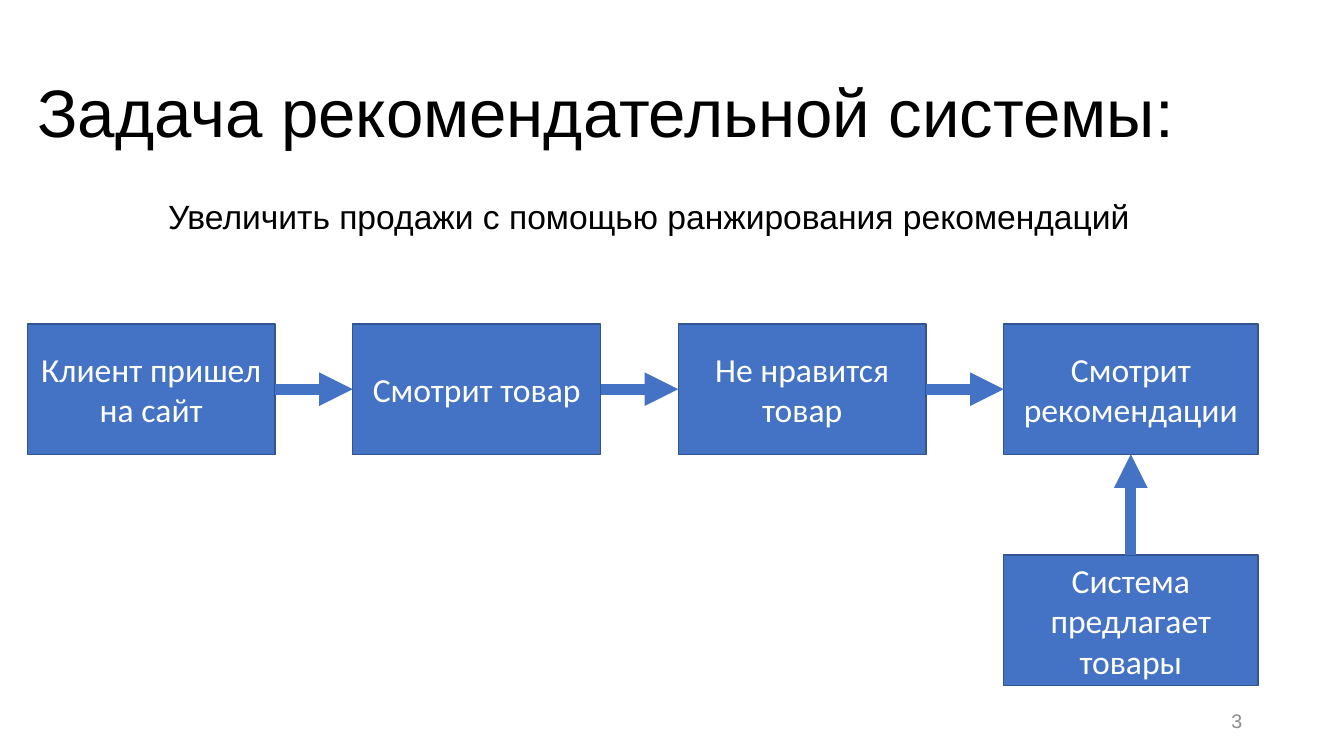
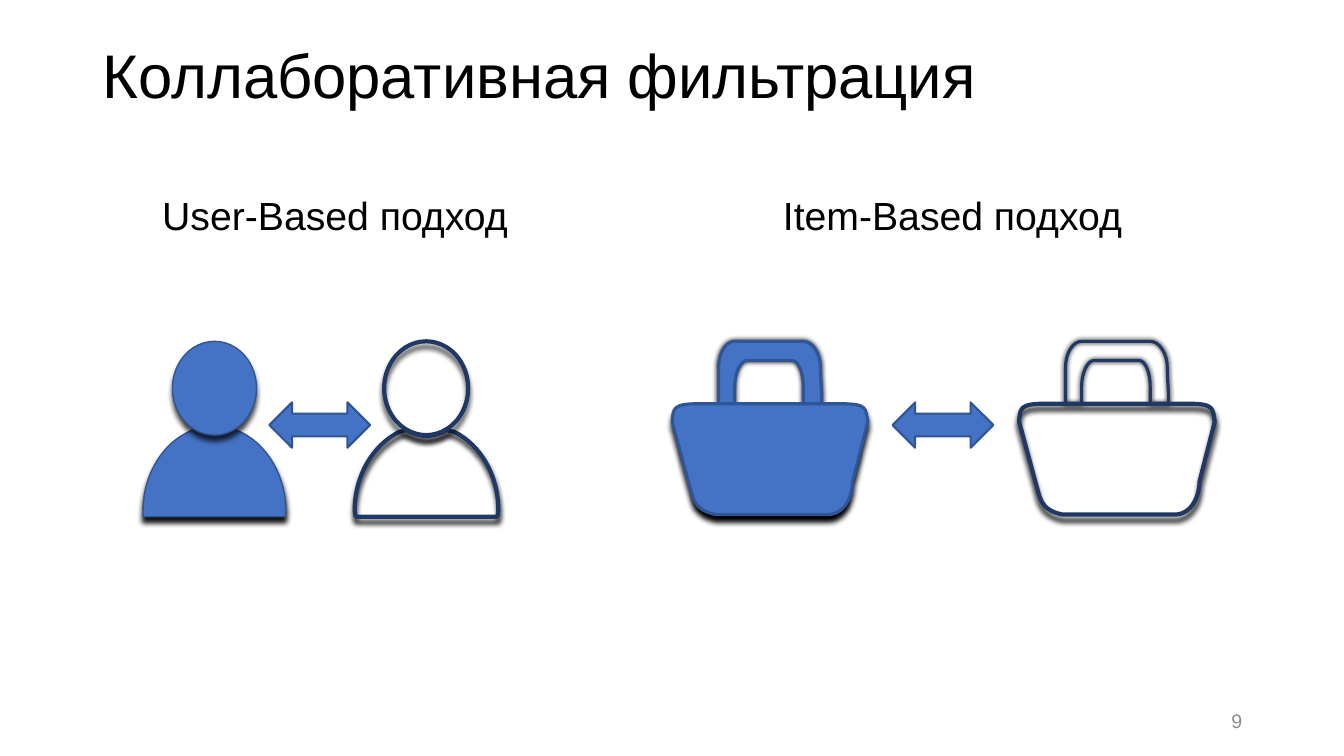
from lxml.etree import SubElement
from pptx import Presentation
from pptx.dml.color import RGBColor
from pptx.enum.shapes import MSO_CONNECTOR, MSO_SHAPE
from pptx.enum.text import MSO_ANCHOR, MSO_AUTO_SIZE, PP_ALIGN
from pptx.oxml.ns import qn
from pptx.util import Pt

BLACK = RGBColor(0x00, 0x00, 0x00)
WHITE = RGBColor(0xFF, 0xFF, 0xFF)
GRAY = RGBColor(0x8C, 0x8C, 0x8C)
BLUE = RGBColor(0x44, 0x72, 0xC4)
EDGE = RGBColor(0x32, 0x54, 0x91)
ICON_EDGE = RGBColor(0x2F, 0x55, 0x97)
NAVY = RGBColor(0x20, 0x38, 0x64)

TITLE_AND_BODY, TITLE_ONLY = 1, 5

# Outlines in points: one pair is a straight step, three pairs are a Bezier curve.
TORSO = [
    [(51, 60.5)], [(79, 60.5), (102, 88), (102, 121)], [(101.5, 125.3)],
    [(0, 125.3)], [(0, 121)], [(0, 88), (23, 60.5), (51, 60.5)]]
TORSO_BEHIND_HEAD = [
    [(65.5, 63.4)], [(71.3, 64.8)], [(90, 74.2), (102.6, 95.8), (102.6, 121)],
    [(102, 125.3)], [(0.7, 125.3)], [(0, 121)],
    [(0, 95.8), (13, 74.2), (31.7, 64.8)], [(36.7, 63.4)], [(39.6, 64.8)],
    [(43.2, 66.2), (47.5, 67.7), (51.1, 67.7)],
    [(55.4, 67.7), (59.8, 66.2), (63.4, 64.8)]]
HANDLE = [
    [(44.6, 0)], [(93.6, 0)], [(100, 0), (105.8, 8.6), (105.8, 18.7)],
    [(105.8, 26.6), (106.6, 33.5), (106.6, 39.6)], [(106.6, 44.6)],
    [(93.6, 44.6)], [(93.6, 43.9)], [(93.6, 40.3), (93.6, 36.7), (93.6, 32.4)],
    [(93.6, 22.3), (90, 13.7), (85.7, 13.7)], [(53.3, 13.7)],
    [(49, 13.7), (44.6, 22.3), (44.6, 32.4)], [(44.6, 44.6)],
    [(33.1, 44.6)], [(33.1, 18.7)], [(33.1, 8.6), (38.2, 0), (44.6, 0)]]
BASKET = [
    [(0, 57.6)], [(0.7, 48.2), (0, 44.6), (18.7, 44.6)], [(121, 44.6)],
    [(139.7, 44.6), (138.2, 48.2), (139.7, 57.6)], [(128.9, 100)],
    [(128.9, 107.2), (125.3, 123.1), (111.6, 123.8)], [(31, 123.8)],
    [(14.4, 120.2), (15.1, 111.6), (11.5, 100)], [(0, 57.6)]]


def write(target, text, size=24, color=BLACK, font="Arial", align=PP_ALIGN.LEFT,
          anchor=MSO_ANCHOR.TOP, spacing=1.0, bullet=True):
    frame = target.text_frame
    frame.word_wrap = True
    frame.auto_size = MSO_AUTO_SIZE.NONE
    frame.vertical_anchor = anchor
    frame.text = text
    paragraph = frame.paragraphs[0]
    if not bullet:
        properties = paragraph._p.get_or_add_pPr()
        properties.set("marL", "0")
        properties.set("indent", "0")
        SubElement(properties, qn("a:buNone"))
    paragraph.alignment = align
    paragraph.line_spacing = spacing
    paragraph.space_before = Pt(0)
    paragraph.font.size = Pt(size)
    paragraph.font.name = font
    paragraph.font.color.rgb = color


def place(target, left, top, width, height):
    target.left, target.top = Pt(left), Pt(top)
    target.width, target.height = Pt(width), Pt(height)
    return target


def text_box(slide, left, top, width, height, text, **style):
    box = slide.shapes.add_textbox(Pt(left), Pt(top), Pt(width), Pt(height))
    write(box, text, **style)


def page_number(slide, number):
    text_box(slide, 678.5, 500.4, 216, 28.8, number, size=14, color=GRAY,
             align=PP_ALIGN.RIGHT, anchor=MSO_ANCHOR.MIDDLE)


def paint(shape, fill, edge, weight, shadow=None):
    """Set fill and line; shadow is (opacity %, distance pt, angle)."""
    if fill is None:
        shape.fill.background()
    else:
        shape.fill.solid()
        shape.fill.fore_color.rgb = fill
    shape.line.color.rgb = edge
    shape.line.width = Pt(weight)
    shape.shadow.inherit = False
    if shadow:
        opacity, distance, angle = shadow
        effects = shape._element.spPr.find(qn("a:effectLst"))
        outer = SubElement(effects, qn("a:outerShdw"), blurRad=str(Pt(4)),
                           dist=str(Pt(distance)), dir=str(angle * 60000),
                           algn="t", rotWithShape="0")
        black = SubElement(outer, qn("a:srgbClr"), val=str(BLACK))
        SubElement(black, qn("a:alpha"), val=str(opacity * 1000))


def preset(slide, kind, left, top, width, height, **look):
    shape = slide.shapes.add_shape(kind, Pt(left), Pt(top), Pt(width), Pt(height))
    paint(shape, **look)
    return shape


def outline(slide, left, top, steps, **look):
    """Draw straight steps, then join each run of three control points as a curve."""
    points = [(Pt(left + x), Pt(top + y)) for step in steps for x, y in step]
    builder = slide.shapes.build_freeform(*points[0])
    builder.add_line_segments(points[1:], close=True)
    shape = builder.convert_to_shape()
    segments = iter(list(shape._element.iter(qn("a:lnTo"))))
    for step in steps[1:]:
        first, *others = [next(segments) for _ in step]
        if others:
            first.tag = qn("a:cubicBezTo")
        for segment in others:
            first.append(segment[0])
            segment.getparent().remove(segment)
    paint(shape, **look)


def flow_step(slide, left, top, width, text):
    step = preset(slide, MSO_SHAPE.RECTANGLE, left, top, width, 93,
                  fill=BLUE, edge=EDGE, weight=1)
    write(step, text, color=WHITE, font="Calibri", align=PP_ALIGN.CENTER,
          anchor=MSO_ANCHOR.MIDDLE)
    return step


def flow_arrow(slide, source, source_site, target, target_site):
    arrow = slide.shapes.add_connector(MSO_CONNECTOR.STRAIGHT, 0, 0, 0, 0)
    arrow.begin_connect(source, source_site)
    arrow.end_connect(target, target_site)
    arrow.line.color.rgb = BLUE
    arrow.line.width = Pt(8)
    SubElement(arrow.line._get_or_add_ln(), qn("a:tailEnd"), type="triangle")
    SubElement(arrow._element.spPr, qn("a:effectLst"))


def customer_flow(slide, left, top):
    top_site, left_site, bottom_site, right_site = range(4)
    pitch, width, last_width = 232.5, 177, 181.5
    labels = ["Клиент пришел на сайт", "Смотрит товар", "Не нравится товар",
              "Смотрит рекомендации"]
    widths = [width] * 3 + [last_width]
    steps = [flow_step(slide, left + i * pitch, top, step_width, label)
             for i, (label, step_width) in enumerate(zip(labels, widths))]
    for current, following in zip(steps, steps[1:]):
        flow_arrow(slide, current, right_site, following, left_site)
    offer = flow_step(slide, left + 3 * pitch, top + 165, last_width,
                      "Система предлагает товары")
    flow_arrow(slide, offer, top_site, steps[-1], bottom_site)


def person(slide, left, top, filled):
    look = (dict(fill=BLUE, edge=EDGE, weight=1) if filled
            else dict(fill=None, edge=NAVY, weight=3))
    outline(slide, left, top, TORSO if filled else TORSO_BEHIND_HEAD,
            shadow=(93, 4, 90), **look)
    preset(slide, MSO_SHAPE.OVAL, left + 21, top, 60, 67,
           shadow=(75, 4, 90), **look)


def bag(slide, left, top, filled):
    look = dict(fill=BLUE, edge=ICON_EDGE) if filled else dict(fill=None, edge=NAVY)
    outline(slide, left, top, HANDLE, weight=2.25, shadow=(100, 0, 63), **look)
    outline(slide, left, top, BASKET, weight=2.25 if filled else 3,
            shadow=(100, 4, 90), **look)


def approach(slide, left, top, heading, heading_indent, icon, icon_width, pitch):
    """Heading above a filled and a hollow icon with a double arrow between."""
    text_box(slide, left + heading_indent, top, 400, 41, heading, size=28)
    icon_top = top + 110.6
    icon(slide, left, icon_top, True)
    icon(slide, left + pitch, icon_top, False)
    arrow_left = left + (pitch + icon_width) / 2 - 36.4
    preset(slide, MSO_SHAPE.LEFT_RIGHT_ARROW, arrow_left, icon_top + 43.6, 72, 32.4,
           fill=BLUE, edge=ICON_EDGE, weight=1.5)


def task_slide(deck):
    slide = deck.slides.add_slide(deck.slide_layouts[TITLE_AND_BODY])
    title, goal = slide.placeholders
    write(place(title, 19.5, 46.8, 878.4, 65.5),
          "Задача рекомендательной системы:", size=48)
    write(place(goal, 33, 139.7, 861, 49.7),
          "Увеличить продажи с помощью ранжирования рекомендаций",
          align=PP_ALIGN.CENTER, spacing=0.9, bullet=False)
    customer_flow(slide, 19.5, 231.5)
    page_number(slide, "3")


def filtering_slide(deck):
    slide = deck.slides.add_slide(deck.slide_layouts[TITLE_ONLY])
    write(place(slide.shapes.title, 66, 28.8, 828, 104.4),
          "Коллаборативная фильтрация", size=44, spacing=0.9)
    approach(slide, 102.2, 133.2, "User-Based подход", 6.6, person, 102, 151.2)
    approach(slide, 480.2, 133.2, "Item-Based подход", 72, bag, 139.7, 247.8)
    page_number(slide, "9")


def main():
    deck = Presentation()
    deck.slide_width, deck.slide_height = Pt(960), Pt(540)
    task_slide(deck)
    filtering_slide(deck)
    deck.save("out.pptx")


if __name__ == "__main__":
    main()
